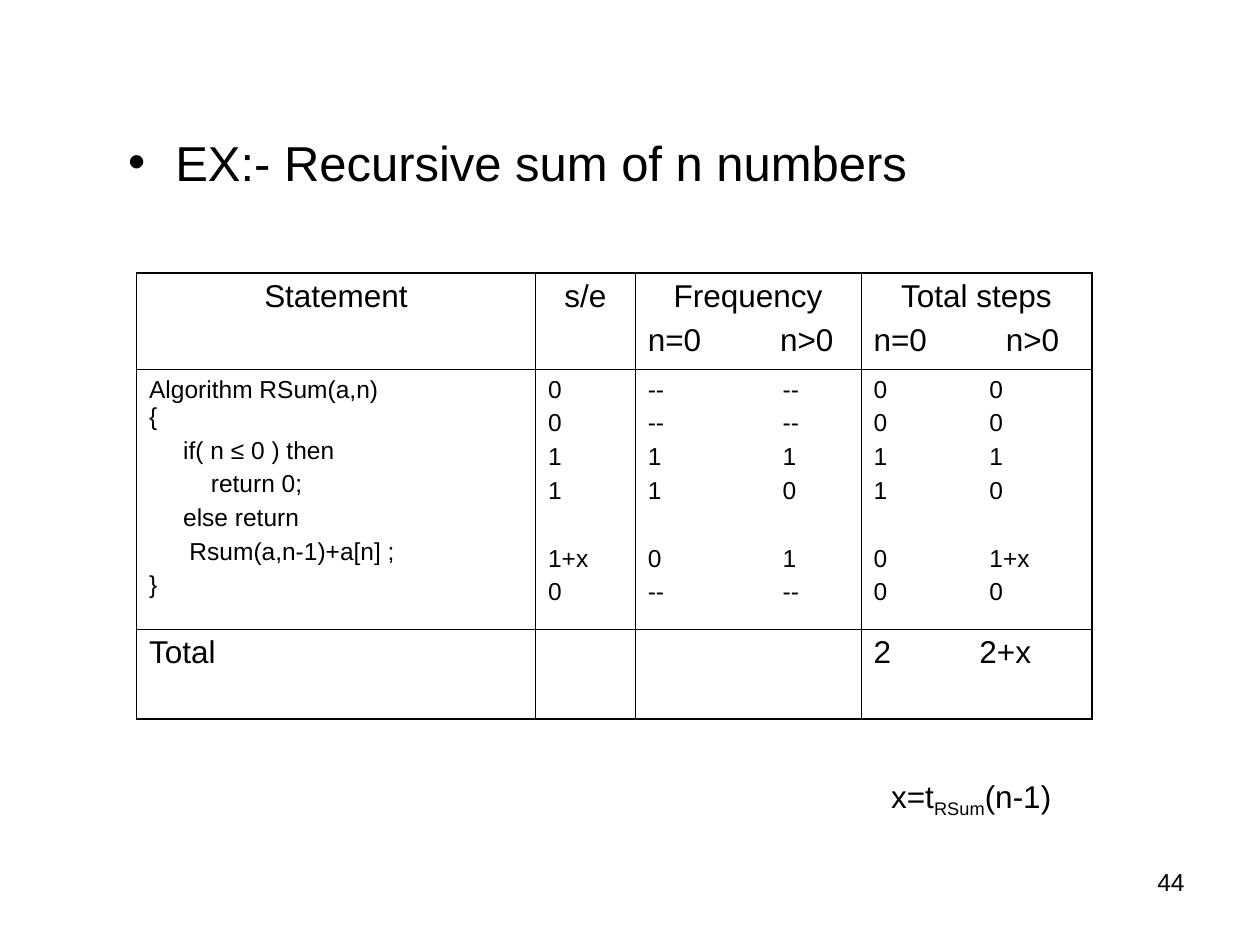
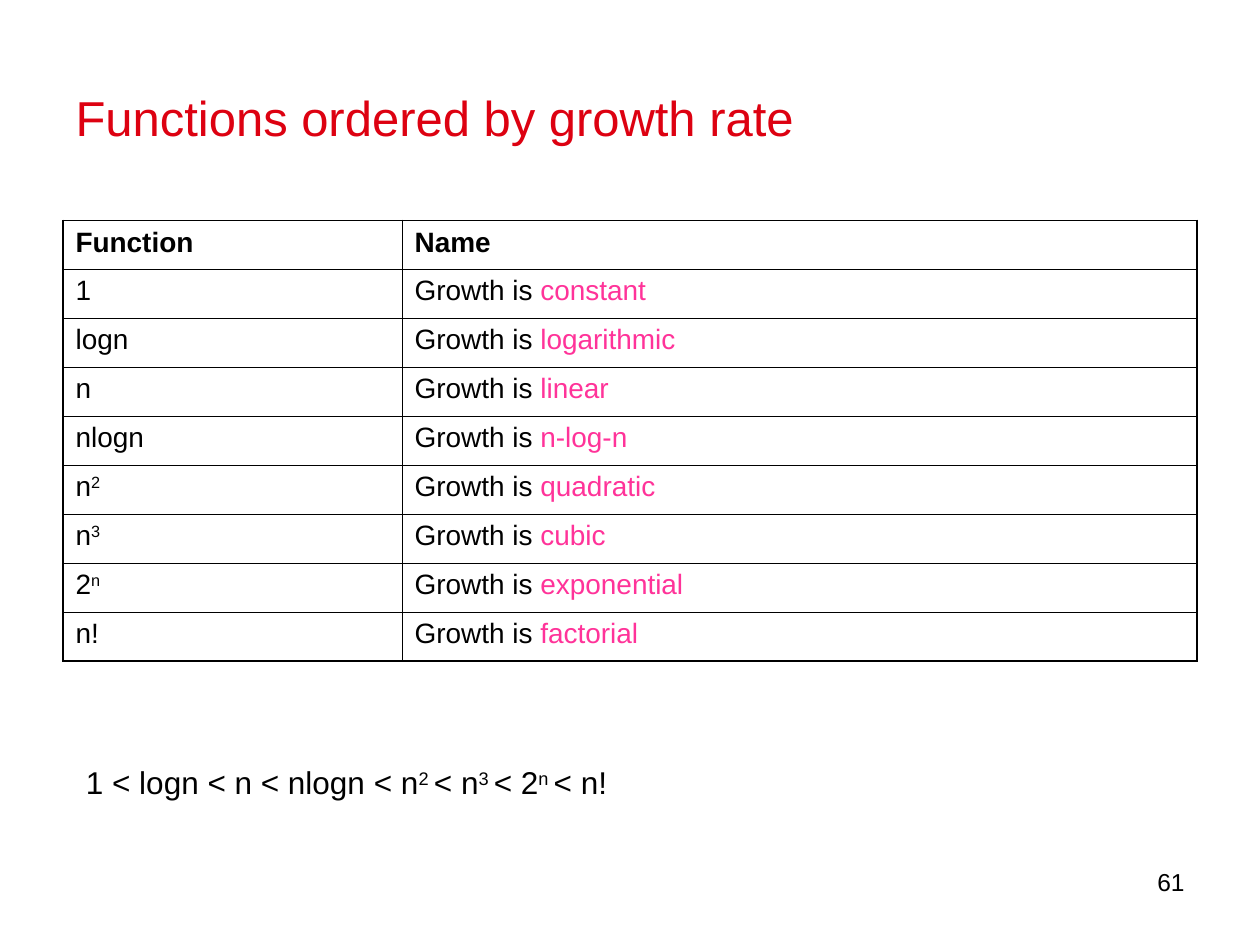
"""Build two slides on step counts and growth rates."""
from lxml.etree import SubElement
from pptx import Presentation
from pptx.dml.color import RGBColor
from pptx.enum.shapes import MSO_SHAPE
from pptx.enum.text import MSO_ANCHOR, PP_ALIGN
from pptx.oxml.ns import qn
from pptx.util import Inches, Pt

INK, RED, PINK, WHITE = "000000", "DD0111", "FF3399", "FFFFFF"
FONT = "Arial"
GRID = 12
hue = RGBColor.from_string


def write(frame, lines, size, gap=0, base=0, tint=INK, stops=()):
    """Fill a frame; each second piece between bars takes base and tint."""
    frame.text = "\n".join(lines)
    for para, line in zip(frame.paragraphs, lines):
        head, *rest = line.split("|")
        para.text = head
        for piece in rest:
            para.add_run().text = piece
        para.space_before = Pt(gap)
        for spot, run in enumerate(para.runs):
            odd = spot % 2
            run.font.name, run.font.size = FONT, Pt(size)
            run.font.color.rgb = hue(tint if odd else INK)
            if odd and base:
                run._r.get_or_add_rPr().set("baseline", str(base * 1000))
        if stops:
            tabs = SubElement(para._p.get_or_add_pPr(), qn("a:tabLst"))
            for stop in stops:
                SubElement(tabs, qn("a:tab"), pos=str(Inches(stop)), algn="l")


def rule(slide, left, top, cols, rows):
    """Add a plain ruled table with a heavier outer edge."""
    spot = [Inches(n / GRID) for n in (left, top, sum(cols), sum(rows))]
    table = slide.shapes.add_table(len(rows), len(cols), *spot).table
    table.first_row = table.horz_banding = False
    for col, wide in zip(table.columns, cols):
        col.width = Inches(wide / GRID)
    for r, high in enumerate(rows):
        table.rows[r].height = Inches(high / GRID)
        for c in range(len(cols)):
            cell = table.cell(r, c)
            outer = {"L": c == 0, "R": c == len(cols) - 1,
                     "T": r == 0, "B": r == len(rows) - 1}
            for side, edge in outer.items():
                wide = Pt(1.08 if edge else 0.45)
                line = SubElement(cell._tc.get_or_add_tcPr(), qn("a:ln" + side), w=str(wide))
                SubElement(SubElement(line, qn("a:solidFill")), qn("a:srgbClr"), val=INK)
            cell.fill.background()
    return table


deck = Presentation()
deck.slide_width, deck.slide_height = Inches(10), Inches(7.5)
steps = deck.slides.add_slide(deck.slide_layouts[1])
growth = deck.slides.add_slide(deck.slide_layouts[5])

blank = steps.shapes.title._element
blank.getparent().remove(blank)
body, title = steps.placeholders[1], growth.shapes.title
for shape, spot in ((body, (11, 12, 80, 11.4)), (title, (6, 3.6, 108, 15))):
    shape.left, shape.top, shape.width, shape.height = [Inches(n / GRID) for n in spot]
write(body.text_frame, ["EX:- Recursive sum of n numbers"], 28, 7)
write(title.text_frame, ["Functions ordered by growth rate"], 28)
top = title.text_frame.paragraphs[0]
top.alignment = PP_ALIGN.LEFT
top.runs[0].font.color.rgb = hue(RED)

costs = rule(steps, 13, 26, (38, 9.5, 21.5, 22), (9.2, 24.7, 8.6))
heads = (["Statement"], ["s/e"], ["Frequency", "n=0\tn>0"], ["Total steps", "n=0\tn>0"])
for c, lines in enumerate(heads):
    frame = costs.cell(0, c).text_frame
    write(frame, lines, 18, 4.5, stops=(1.05,))
    frame.paragraphs[0].alignment = PP_ALIGN.CENTER

code = ["Algorithm RSum(a,n)\v{", "\tif( n ≤ 0 ) then", "\t\t\treturn 0;",
        "\telse return", "\t\tRsum(a,n-1)+a[n] ;", "}"]
each = ["0", "0", "1", "1", "1+x", "0"]
times = ["--\t--", "--\t--", "1\t1", "1\t0", "0\t1", "--\t--"]
sums = ["0\t0", "0\t0", "1\t1", "1\t0", "0\t1+x", "0\t0"]
parts = ((code, (0.27, 0.32, 0.49)), (each, ()), (times, (1.07,)), (sums, (0.92,)))
for c, (lines, stops) in enumerate(parts):
    frame = costs.cell(1, c).text_frame
    write(frame, lines, 14, 3.5, stops=stops)
    if c:
        frame.paragraphs[4].space_before = Pt(23.1)
write(costs.cell(2, 0).text_frame, ["Total"], 18, 4.5)
write(costs.cell(2, 3).text_frame, ["2\t2+x"], 18, 4.5, stops=(0.84,))

rates = [("1", "constant"), ("logn", "logarithmic"), ("n", "linear"), ("nlogn", "n-log-n"),
         ("n|2", "quadratic"), ("n|3", "cubic"), ("2|n", "exponential"), ("n!", "factorial")]
ranks = rule(growth, 6, 21, (32.3, 75.7), [42 / 9] * (len(rates) + 1))
for c, head in enumerate(("Function", "Name")):
    frame = ranks.cell(0, c).text_frame
    write(frame, [head], 16, 4)
    frame.paragraphs[0].runs[0].font.bold = True
for r, (term, name) in enumerate(rates, 1):
    write(ranks.cell(r, 0).text_frame, [term], 16, 4, base=30)
    write(ranks.cell(r, 1).text_frame, ["Growth is |" + name], 16, 4, tint=PINK)

notes = (
    (steps, "44", (80, 72, 25, 8), "x=t|RSum|(n-1)", -25, PP_ALIGN.CENTER),
    (growth, "61", (7, 68, 106, 13), "1 < logn < n < nlogn < n|2 |< n|3 |< 2|n |< n!",
     30, PP_ALIGN.LEFT),
)
for slide, page, spot, text, base, side in notes:
    note = slide.shapes.add_shape(MSO_SHAPE.RECTANGLE, *[Inches(n / GRID) for n in spot])
    note.shadow.inherit = False
    note.fill.solid()
    note.fill.fore_color.rgb = note.line.color.rgb = hue(WHITE)
    note.line.width = Pt(0.75)
    note.text_frame.vertical_anchor = MSO_ANCHOR.MIDDLE
    write(note.text_frame, [text], 18, base=base)
    note.text_frame.paragraphs[0].alignment = side
    foot = slide.shapes.add_textbox(*[Inches(n / GRID) for n in (86, 82, 28, 6.2)])
    foot.text_frame.word_wrap = True
    write(foot.text_frame, [page], 14)
    foot.text_frame.paragraphs[0].alignment = PP_ALIGN.RIGHT

deck.save("out.pptx")
